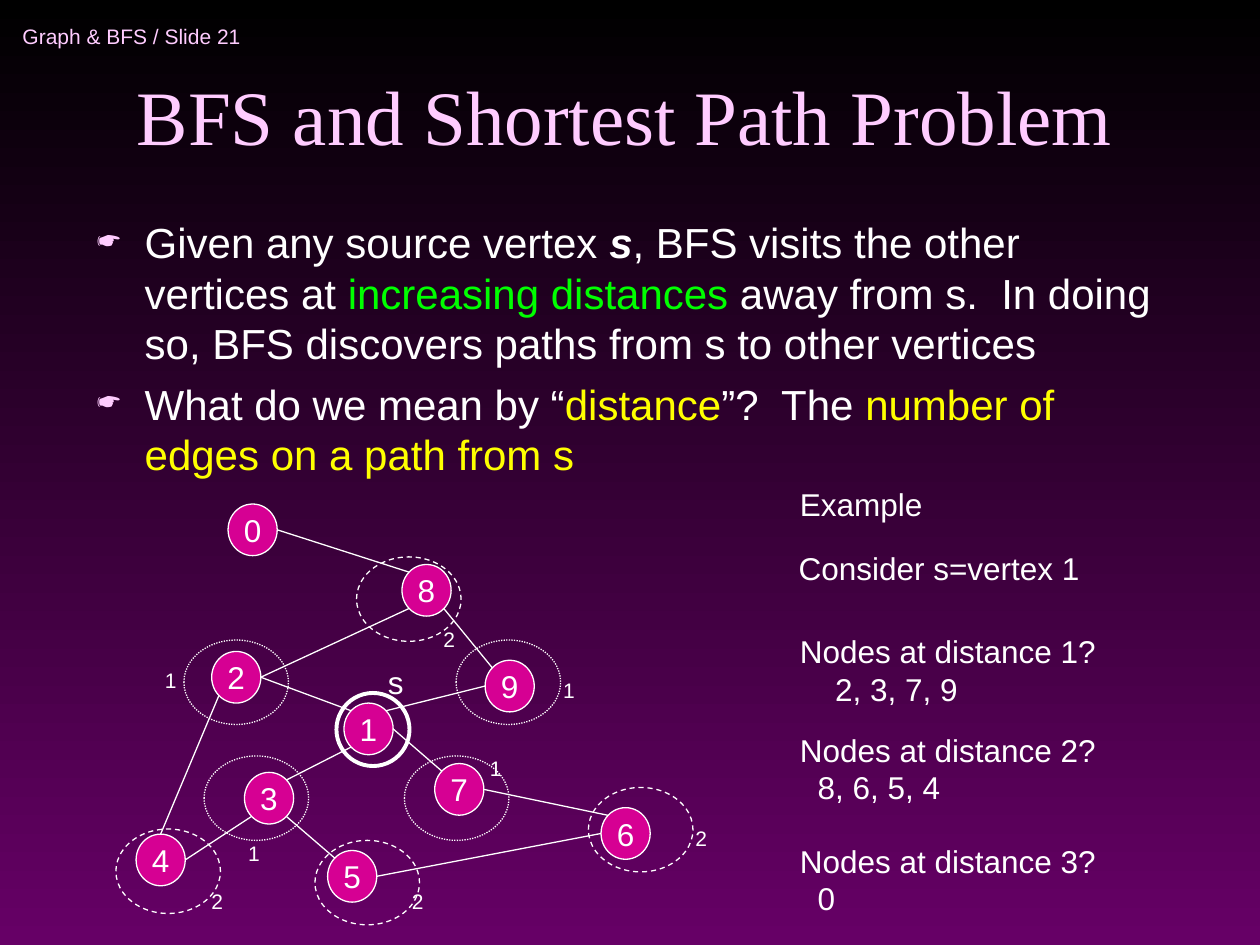
from lxml import etree
from pptx import Presentation
from pptx.dml.color import RGBColor
from pptx.enum import dml, shapes, text
from pptx.oxml import ns
from pptx.util import Inches, Pt

BLACK = RGBColor(0x00, 0x00, 0x00)
PURPLE = RGBColor(0x66, 0x00, 0x66)
PINK = RGBColor(0xFF, 0xCC, 0xFF)
MAGENTA = RGBColor(0xD6, 0x00, 0x93)
WHITE = RGBColor(0xFF, 0xFF, 0xFF)
GREEN = RGBColor(0x00, 0xFF, 0x00)
YELLOW = RGBColor(0xFF, 0xFF, 0x00)

NODE_W, NODE_H = 0.39, 0.41
RING_W, RING_H = 0.83, 0.67

deck = Presentation()
deck.slide_width, deck.slide_height = Inches(10), Inches(7.5)
page = deck.slides.add_slide(deck.slide_layouts[5])

backdrop = page.background.fill
backdrop.gradient()
backdrop.gradient_angle = 270
for stop, color in zip(backdrop.gradient_stops, (BLACK, PURPLE)):
    stop.color.rgb = color


def add_text(left, top, width, height, lines, size, color=WHITE, wrap=False):
    """Add a text box with one paragraph per line and return it."""
    box = page.shapes.add_textbox(Inches(left), Inches(top), Inches(width), Inches(height))
    box.text_frame.word_wrap = wrap
    box.text_frame.text = "\n".join(lines)
    for para in box.text_frame.paragraphs:
        para.font.size, para.font.name = Pt(size), "Arial"
        para.font.color.rgb = color
    return box


def add_ellipse(left, top, width, height, line_width=0.75, dash=None):
    """Add an unfilled ellipse with a white outline and return it."""
    oval = page.shapes.add_shape(shapes.MSO_SHAPE.OVAL, Inches(left), Inches(top),
                                 Inches(width), Inches(height))
    oval.shadow.inherit = False
    oval.fill.background()
    oval.line.color.rgb = WHITE
    oval.line.width = Pt(line_width)
    if dash is not None:
        oval.line.dash_style = dash
    return oval


# Header and title
header = add_text(0.08, 0.08, 2.75, 0.42, ["Graph & BFS / Slide 21"], 12, PINK)
header.text_frame.vertical_anchor = text.MSO_ANCHOR.MIDDLE

title = page.shapes.title
title.left, title.top = Inches(0.67), Inches(0.25)
title.width, title.height = Inches(8.58), Inches(1.08)
title.text_frame.text = "BFS and Shortest Path Problem"
title.text_frame.auto_size = text.MSO_AUTO_SIZE.NONE
title.text_frame.vertical_anchor = text.MSO_ANCHOR.BOTTOM
title_para = title.text_frame.paragraphs[0]
title_para.alignment = text.PP_ALIGN.CENTER
title_font = title_para.runs[0].font
title_font.size, title_font.name = Pt(44), "Times New Roman"
title_font.color.rgb = PINK

# Bulleted explanation
bullets = [
    [("Given any source vertex ", WHITE), ("s", WHITE),
     (", BFS visits the other vertices at ", WHITE), ("increasing distances", GREEN),
     (" away from s.  In doing so, BFS discovers paths from s to other vertices", WHITE)],
    [("What do we mean by “", WHITE), ("distance", YELLOW), ("”?  The ", WHITE),
     ("number of edges on a path from s", YELLOW)],
]
body = add_text(0.67, 1.67, 8.58, 5.42, ["", ""], 24, wrap=True)
for para, pieces in zip(body.text_frame.paragraphs, bullets):
    para.space_before = Pt(6)
    for words, color in pieces:
        span = para.add_run()
        span.text = words
        span.font.size, span.font.name = Pt(24), "Arial"
        span.font.color.rgb = color
        if words == "s":
            span.font.bold = span.font.italic = True
    props = para._p.get_or_add_pPr()
    props.set("marL", str(Inches(0.38)))
    props.set("indent", str(Inches(-0.38)))
    bullet_parts = etree.fromstring(
        f'<a:pPr {ns.nsdecls("a")}><a:buClr><a:srgbClr val="{PINK}"/></a:buClr>'
        '<a:buSzPct val="75000"/><a:buChar char="☛"/></a:pPr>')
    place = list(props).index(props.find(ns.qn("a:spcBef"))) + 1
    props[place:place] = list(bullet_parts)

# Graph vertices: number -> left, top
nodes = {
    2: (1.68, 5.17), 4: (1.08, 6.62), 3: (1.94, 6.13), 5: (2.60, 6.75), 1: (2.73, 5.58),
    7: (3.45, 6.06), 6: (4.77, 6.41), 9: (3.85, 5.24), 8: (3.19, 4.48), 0: (1.81, 4.00),
}
for number, (left, top) in nodes.items():
    node = add_ellipse(left, top, NODE_W, NODE_H)
    node.fill.solid()
    node.fill.fore_color.rgb = MAGENTA
    node.text_frame.word_wrap = False
    node.text_frame.text = str(number)
    node.text_frame.vertical_anchor = text.MSO_ANCHOR.MIDDLE
    para = node.text_frame.paragraphs[0]
    para.alignment = text.PP_ALIGN.CENTER
    para.font.size, para.font.name = Pt(18), "Arial"
    para.font.color.rgb = WHITE

# Graph edges, each end at a point on a vertex given as a share of its size
NEAR, FAR = 0.15, 0.85
anchors = {"top": (0.5, 0), "left": (0, 0.5), "right": (1, 0.5),
           "top left": (NEAR, NEAR), "top right": (FAR, NEAR),
           "bottom left": (NEAR, FAR), "bottom right": (FAR, FAR)}
edges = [
    (0, "right", 8, "top left"), (8, "bottom right", 9, "top left"),
    (9, "left", 1, "top right"), (8, "bottom left", 2, "right"),
    (2, "right", 1, "top left"), (2, "bottom left", 4, "top"),
    (4, "right", 3, "bottom left"), (3, "top right", 1, "bottom left"),
    (3, "bottom right", 5, "top left"), (5, "right", 6, "left"),
    (1, "right", 7, "top left"), (7, "right", 6, "top left"),
]
for start, start_side, end, end_side in edges:
    points = []
    for number, side in ((start, start_side), (end, end_side)):
        (left, top), (across, down) = nodes[number], anchors[side]
        points += [Inches(left + across * NODE_W), Inches(top + down * NODE_H)]
    edge = page.shapes.add_connector(shapes.MSO_CONNECTOR.STRAIGHT, *points)
    edge.line.color.rgb = WHITE
    edge.line.width = Pt(0.75)
    etree.SubElement(edge._element.spPr, ns.qn("a:effectLst"))

# Rings around the vertices at each distance, with their distance labels
levels = [
    ("1", dml.MSO_LINE.ROUND_DOT,
     [(1.46, 5.08), (1.62, 6.00), (3.21, 6.00), (3.62, 5.08)],
     [(4.37, 5.33), (3.79, 5.95), (1.21, 5.25), (1.87, 6.62)]),
    ("2", dml.MSO_LINE.DASH,
     [(2.83, 4.42), (0.92, 6.58), (2.50, 6.67), (4.67, 6.25)],
     [(5.42, 6.50), (3.17, 7.00), (1.58, 7.00), (3.42, 4.92)]),
]
for distance, dash, rings, labels in levels:
    for left, top in rings:
        add_ellipse(left, top, RING_W, RING_H, dash=dash)
    for left, top in labels:
        add_text(left, top, 0.29, 0.3, [distance], 12)

# Source vertex
add_ellipse(2.67, 5.5, 0.58, 0.58, line_width=2.25)
add_text(2.98, 5.21, 0.32, 0.4, ["s"], 18)

# Worked example
add_text(6.25, 3.8, 1.17, 0.4, ["Example"], 18)
add_text(6.24, 4.31, 2.43, 0.4, ["Consider s=vertex 1"], 18)
answers = [(4.97, 1, "2, 3, 7, 9", 0.28), (5.75, 2, "8, 6, 5, 4", 0.14), (6.63, 3, "0", 0.14)]
for top, distance, found, indent in answers:
    box = add_text(6.25, top, 2.55, 0.7, [f"Nodes at distance {distance}?", found], 18)
    box.text_frame.paragraphs[1]._p.get_or_add_pPr().set("marL", str(Inches(indent)))

deck.save("out.pptx")
